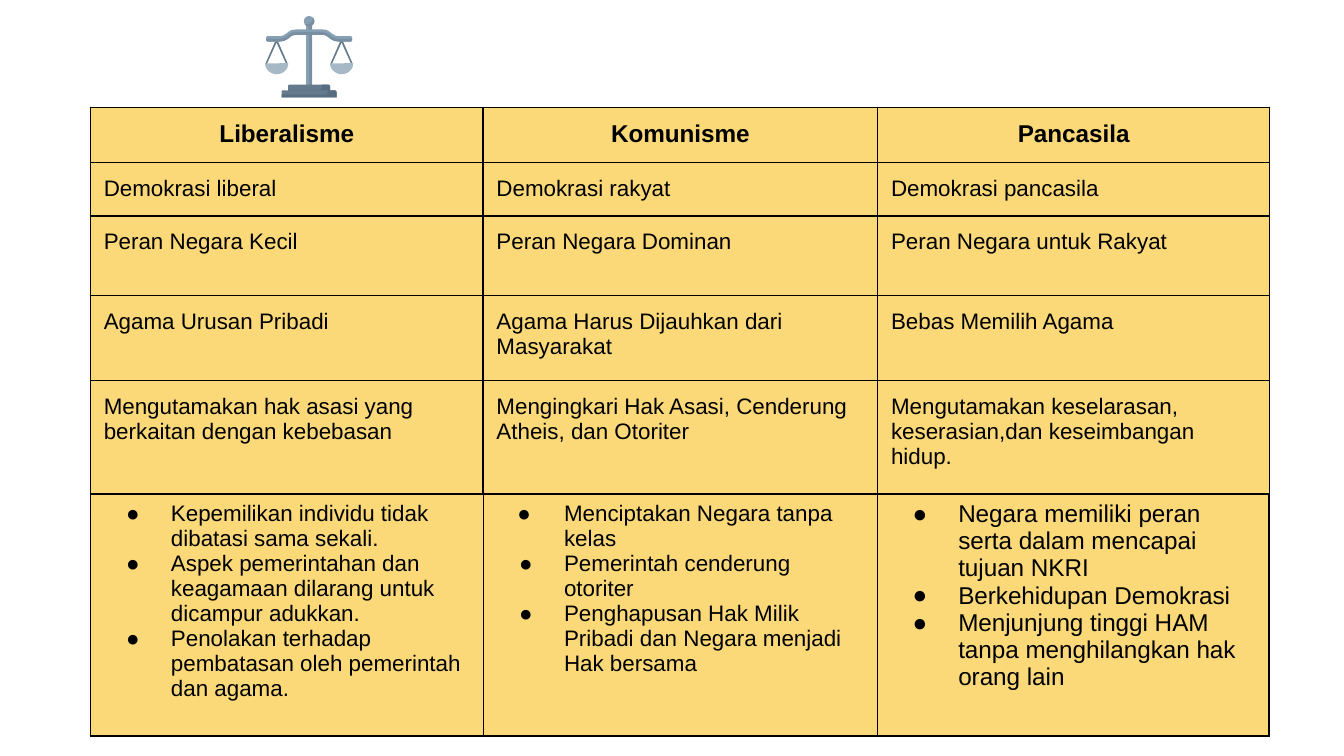
from math import cos, pi, sin

from lxml.etree import SubElement
from pptx import Presentation
from pptx.dml.color import RGBColor
from pptx.enum.shapes import MSO_SHAPE as Shape
from pptx.enum.text import PP_ALIGN as Align
from pptx.oxml.ns import qn
from pptx.util import Pt

HEADINGS = ["Liberalisme", "Komunisme", "Pancasila"]
COMPARISON = [
    ["Demokrasi liberal", "Demokrasi rakyat", "Demokrasi pancasila"],
    ["Peran Negara Kecil", "Peran Negara Dominan", "Peran Negara untuk Rakyat"],
    ["Agama Urusan Pribadi", "Agama Harus Dijauhkan dari Masyarakat", "Bebas Memilih Agama"],
    [
        "Mengutamakan hak asasi yang berkaitan dengan kebebasan",
        "Mengingkari Hak Asasi, Cenderung Atheis, dan Otoriter",
        "Mengutamakan keselarasan, keserasian,dan keseimbangan hidup.",
    ],
]
TRAITS = [
    (12, [
        ("Kepemilikan individu tidak dibatasi sama sekali.", 24),
        ("Aspek pemerintahan dan keagamaan dilarang untuk dicampur adukkan.", 24),
        ("Penolakan terhadap pembatasan oleh pemerintah dan agama.", 24),
    ]),
    (12, [
        ("Menciptakan Negara tanpa kelas", 25),
        ("Pemerintah cenderung otoriter", 24),
        ("Penghapusan Hak Milik Pribadi dan Negara menjadi Hak bersama", 24),
    ]),
    (13, [
        ("Negara memiliki peran serta dalam mencapai tujuan NKRI", 24.5),
        ("Berkehidupan Demokrasi", 24.5),
        ("Menjunjung tinggi HAM tanpa menghilangkan hak orang lain", 24.5),
    ]),
]
LIGHT, MIDDLE, DARK, DARKEST = "869FB2", "798FA1", "657A8D", "566D82"
PAN, PAN_SHADE = "A7B9C7", "A5B8C6"
AXIS = 165.6
BEAM_TOP = [(7.2, 15.8), (9, 16), (10.4, 16.6), (12.2, 18), (14, 19.1), (15.8, 19.4), (22.4, 19.4), (23, 20)]
BEAM_MIDDLE = [(7.2, 17.3), (9, 17.6), (10.8, 18.7), (12.2, 19.8), (14, 20.6), (15.8, 20.9), (23, 20.9)]
BEAM_BOTTOM = [(23, 21.7), (22.4, 22.3), (15.8, 22.3), (13.6, 22), (11.6, 21), (10, 19.7), (8.6, 18.9), (7.2, 18.7)]


def color(hex_code):
    return RGBColor.from_string(hex_code)


def arc(radius_x, radius_y, start, end, steps=16):
    angles = [start + (end - start) * step / steps for step in range(steps + 1)]
    return [(radius_x * cos(angle), radius_y * sin(angle)) for angle in angles]


class Slide:
    """Holds the table style and the page being drawn."""

    font = "Arial"
    ink = "000000"
    cell_fill = "FBD979"

    def __init__(self, page):
        self.page = page

    def paint(self, shape, fill):
        shape.shadow.inherit = False
        shape.fill.solid()
        shape.fill.fore_color.rgb = color(fill)
        shape.line.fill.background()

    def preset(self, kind, left, top, width, height, fill):
        shape = self.page.shapes.add_shape(kind, Pt(left), Pt(top), Pt(width), Pt(height))
        self.paint(shape, fill)

    def outline(self, points, fill, x=AXIS, y=0):
        corners = [(Pt(x + dx), Pt(y + dy)) for dx, dy in points]
        builder = self.page.shapes.build_freeform(*corners[0])
        builder.add_line_segments(corners[1:], close=True)
        self.paint(builder.convert_to_shape(), fill)

    def mirrored(self, half, fill):
        self.outline(half + [(-dx, y) for dx, y in reversed(half)], fill)

    def table(self, left, top, widths, heights):
        frame = self.page.shapes.add_table(
            len(heights), len(widths), Pt(left), Pt(top), Pt(sum(widths)), Pt(sum(heights)))
        table = frame.table
        table.first_row = table.horz_banding = False
        for column, width in zip(table.columns, widths):
            column.width = Pt(width)
        for row, height in zip(table.rows, heights):
            row.height = Pt(height)
        return table

    def cell(self, cell, margin):
        cell.margin_left = cell.margin_right = Pt(7.2)
        cell.margin_top = cell.margin_bottom = Pt(margin)
        properties = cell._tc.get_or_add_tcPr()
        for side in ("a:lnL", "a:lnR", "a:lnT", "a:lnB"):
            line = SubElement(properties, qn(side), w=str(Pt(1)))
            fill = SubElement(line, qn("a:solidFill"))
            SubElement(fill, qn("a:srgbClr"), val=self.ink)
        cell.fill.solid()
        cell.fill.fore_color.rgb = color(self.cell_fill)
        return cell.text_frame

    def add_text(self, para, text, size, bold=False):
        span = para.add_run()
        span.text = text
        span.font.name = self.font
        span.font.size = Pt(size)
        span.font.bold = bold
        span.font.color.rgb = color(self.ink)

    def bullet(self, para, hanging):
        properties = para._p.get_or_add_pPr()
        properties.set("marL", str(Pt(36)))
        properties.set("indent", str(-Pt(hanging)))
        tint = SubElement(properties, qn("a:buClr"))
        SubElement(tint, qn("a:srgbClr"), val=self.ink)
        SubElement(properties, qn("a:buFont"), typeface=self.font)
        SubElement(properties, qn("a:buChar"), char="●")

    def comparison(self):
        table = self.table(48.4, 57.6, [210.4, 211.4, 210], [29.5, 28.5, 42.8, 45.5, 72])
        for row, texts in enumerate([HEADINGS] + COMPARISON):
            for column, text in enumerate(texts):
                para = self.cell(table.cell(row, column), 7.2).paragraphs[0]
                if row == 0:
                    para.alignment = Align.CENTER
                self.add_text(para, text, 12 if row else 13, bold=row == 0)

    def traits(self):
        table = self.table(48.4, 264.7, [210.6, 211.2, 209.8], [129.6])
        for column, (size, items) in enumerate(TRAITS):
            box = self.cell(table.cell(0, column), 3.6)
            for index, (text, hanging) in enumerate(items):
                para = box.add_paragraph() if index else box.paragraphs[0]
                self.bullet(para, hanging)
                self.add_text(para, text, size)

    def scales(self):
        strings = [(-0.5, 21.6), (0.5, 21.6), (6.1, 34.4), (5.2, 34.4), (0, 22.8), (-5.2, 34.4), (-6.1, 34.4)]
        shade = arc(6.2, 5.8, 0, 0.6 * pi) + [(0, 4.2), (1.2, 2.2), (1.5, 0)]
        for center in (AXIS + 17.4, AXIS - 17.4):
            self.outline(strings, DARK, center)
            self.outline(arc(6.2, 5.8, 0, pi), PAN, center, 33.9)
            self.outline(shade, PAN_SHADE, center, 33.9)
        self.preset(Shape.RECTANGLE, AXIS - 1.6, 13.7, 3.2, 33.1, LIGHT)
        self.preset(Shape.RECTANGLE, AXIS, 13.7, 1.6, 33.1, MIDDLE)
        self.preset(Shape.OVAL, AXIS - 2.8, 8.6, 5.6, 5.6, LIGHT)
        self.outline(arc(2.8, 2.8, -0.25 * pi, 0.8 * pi) + [(0, 1.4), (1.6, 0)], MIDDLE, AXIS, 11.4)
        self.mirrored(BEAM_TOP + BEAM_BOTTOM, LIGHT)
        self.mirrored(BEAM_MIDDLE + BEAM_BOTTOM, MIDDLE)
        for half, top, bottom in ((11.3, 45.4, 49.7), (14.7, 48.4, 52.1)):
            self.preset(Shape.ROUND_2_SAME_RECTANGLE, AXIS - half, top, 2 * half, bottom - top, DARK)
            inner = half - 4.6
            self.outline([
                (inner, top), (half - 1, top), (half, top + 1), (half, bottom), (-half, bottom),
                (-half, bottom - 1.4), (inner - 1, bottom - 1.4), (inner, bottom - 2.4)], DARKEST)


def main():
    deck = Presentation()
    deck.slide_width, deck.slide_height = Pt(720), Pt(405)
    slide = Slide(deck.slides.add_slide(deck.slide_layouts[6]))
    slide.comparison()
    slide.scales()
    slide.traits()
    deck.save("out.pptx")


if __name__ == "__main__":
    main()
